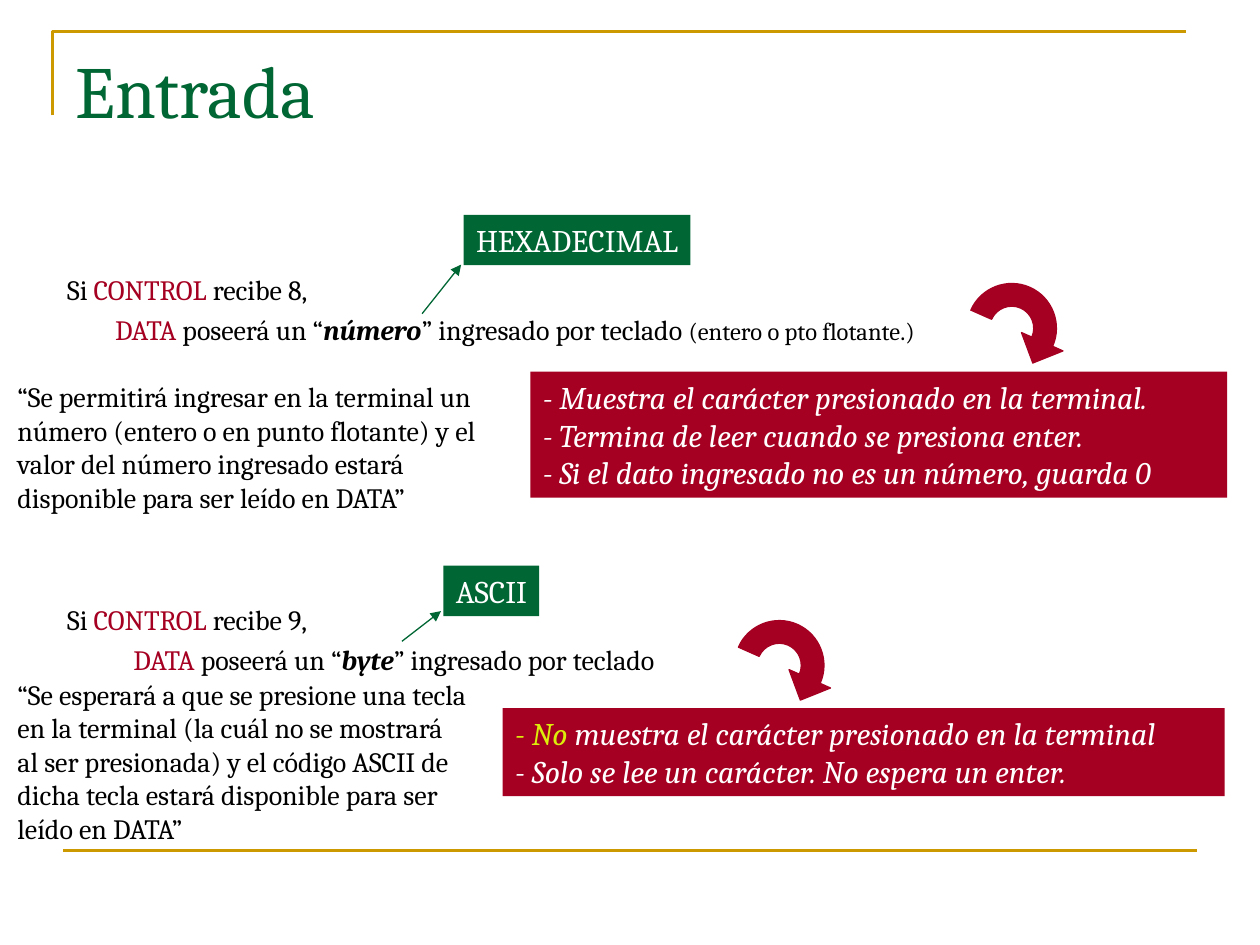
"""Build the slide on keyboard input through CONTROL and DATA."""
from dataclasses import dataclass

from lxml.etree import SubElement
from pptx import Presentation
from pptx.dml.color import RGBColor
from pptx.enum.shapes import MSO_CONNECTOR, MSO_SHAPE
from pptx.enum.text import MSO_ANCHOR, PP_ALIGN
from pptx.oxml.ns import qn
from pptx.util import Emu, Inches, Pt

RECT = MSO_SHAPE.RECTANGLE
LINE = MSO_CONNECTOR.STRAIGHT
TOP = MSO_ANCHOR.TOP
LEFT = PP_ALIGN.LEFT
COLS, ROWS = 100, 75


@dataclass(frozen=True)
class Theme:
    """Colours, font and type sizes."""
    green: str = "006633"
    red: str = "A50021"
    gold: str = "CC9900"
    lime: str = "DDED0B"
    white: str = "FFFFFF"
    black: str = "000000"
    font: str = "Cambria"
    head: int = 42
    note: int = 18
    body: int = 16
    small: int = 14


THEME = Theme()


@dataclass(frozen=True)
class Run:
    """A stretch of text in one format."""
    text: str
    color: str = THEME.black
    size: int = THEME.body
    bold: bool = False
    slant: bool = False


@dataclass(frozen=True)
class Para:
    """A line of runs with its indent in columns and space before in points."""
    runs: tuple[Run, ...]
    indent: float = 0
    before: float = 0


@dataclass(frozen=True)
class Box:
    """A text block placed by column and row."""
    col: float
    row: float
    wide: float
    high: float
    lines: tuple[Para, ...]
    fill: str = ""
    wrap: bool = True
    pad: float = 0.5


@dataclass(frozen=True)
class Line:
    """A straight line between two grid points."""
    start: tuple[float, float]
    end: tuple[float, float]
    color: str
    width: float
    arrow: bool = False


deck = Presentation()
deck.slide_width, deck.slide_height = Inches(10), Inches(7.5)
slide = deck.slides.add_slide(deck.slide_layouts[6])


def across(col: float) -> Emu:
    """Turn columns into a length."""
    return Emu(round(deck.slide_width * col / COLS))


def down(row: float) -> Emu:
    """Turn rows into a length."""
    return Emu(round(deck.slide_height * row / ROWS))


def write(frame, lines: tuple[Para, ...]) -> None:
    """Fill a text frame with formatted lines."""
    for k, line in enumerate(lines):
        para = frame.add_paragraph() if k else frame.paragraphs[0]
        para.alignment, para.space_before = LEFT, Pt(line.before)
        para._p.get_or_add_pPr().set("marL", str(across(line.indent)))
        for part in line.runs:
            run = para.add_run()
            run.text = part.text
            look = {"name": THEME.font, "size": Pt(part.size),
                    "bold": part.bold, "italic": part.slant}
            for key, value in look.items():
                setattr(run.font, key, value)
            run.font.color.rgb = RGBColor.from_string(part.color)


def draw_box(box: Box) -> None:
    """Draw a filled panel or a plain text box."""
    place = across(box.col), down(box.row), across(box.wide), down(box.high)
    if box.fill:
        shape = slide.shapes.add_shape(RECT, *place)
        shape.shadow.inherit = False
        shape.fill.solid()
        shape.fill.fore_color.rgb = RGBColor.from_string(box.fill)
        shape.line.fill.background()
    else:
        shape = slide.shapes.add_textbox(*place)
    look = {"word_wrap": box.wrap, "vertical_anchor": TOP, "margin_top": down(box.pad)}
    for key, value in look.items():
        setattr(shape.text_frame, key, value)
    write(shape.text_frame, box.lines)


def draw_line(line: Line) -> None:
    """Draw a line, with an arrowhead if asked for."""
    (x, y), (u, v) = line.start, line.end
    link = slide.shapes.add_connector(LINE, across(x), down(y), across(u), down(v))
    link.line.color.rgb = RGBColor.from_string(line.color)
    link.line.width = Pt(line.width)
    if line.arrow:
        SubElement(link.line._get_or_add_ln(), qn("a:tailEnd"), type="triangle")
    SubElement(link._element.spPr, qn("a:effectLst"))


def draw_form(points: list[tuple[float, float]], color: str, width: float,
              closed: bool):
    """Draw an outline through grid points, filled when closed."""
    spots = [(across(x), down(y)) for x, y in points]
    pen = slide.shapes.build_freeform(*spots[0])
    pen.add_line_segments(spots[1:], close=closed)
    shape = pen.convert_to_shape()
    shape.shadow.inherit = False
    if closed:
        shape.fill.solid()
        shape.fill.fore_color.rgb = RGBColor.from_string(color)
    else:
        shape.fill.background()
    shape.line.color.rgb = RGBColor.from_string(color)
    shape.line.width = Pt(width)
    return shape


def arc(r: float, side: int) -> list[tuple[float, float]]:
    """Give the curve points of an upper half circle that starts on one side."""
    k = 0.55 * r
    half = [(r, -k), (k, -r), (0, -r), (-k, -r), (-r, -k), (-r, 0)]
    return [(side * x, y) for x, y in half]


def draw_hook(col: float, row: float) -> None:
    """Draw a turned half-ring arrow around a centre."""
    inner, outer = 1.75, 3.55
    points = [(inner, 0), *arc(inner, 1), (-outer, 0), *arc(outer, -1),
              (4.45, 0), (2.65, 1.85), (0.85, 0)]
    shape = draw_form([(col + x, row + y) for x, y in points], THEME.red, 0.75, True)
    track = shape._element.spPr.find(".//" + qn("a:path"))
    steps = track.findall(qn("a:lnTo"))
    for first in (0, 3, 7, 10):
        curve = steps[first]
        curve.tag = qn("a:cubicBezTo")
        for step in steps[first + 1:first + 3]:
            curve.append(step[0])
            track.remove(step)
    side = across(2 * outer)
    for key in ("w", "h"):
        track.set(key, str(side))
    for key, value in {"width": side, "height": side, "rotation": 23.9}.items():
        setattr(shape, key, value)


def plain(text: str) -> tuple[Para, ...]:
    """Make one body line."""
    return (Para((Run(text),)),)


def label(text: str) -> tuple[Para, ...]:
    """Make one white label line."""
    return (Para((Run(text, THEME.white, THEME.note),)),)


def note(text: str, lead: str = "") -> Para:
    """Make one slanted note line with a bright lead."""
    parts = ((lead, THEME.lime), (text, THEME.white))
    return Para(tuple(Run(t, c, THEME.note, slant=True) for t, c in parts if t))


def case(code: str, kind: str, end: str, indent: float, gap: float = 0,
         extra: tuple[Run, ...] = ()) -> tuple[Para, ...]:
    """Make the two lines that tell what a CONTROL code does."""
    first = Run("Si "), Run("CONTROL", THEME.red), Run(f" recibe {code},")
    then = (Run("DATA", THEME.red), Run(" poseerá un “"),
            Run(kind, bold=True, slant=True), Run(end))
    return Para(first, 0, gap), Para(then + extra, indent, 3.75)


BOXES = (
    Box(5, 3.05, 90, 12.5, (Para((Run("Entrada", THEME.green, THEME.head),)),)),
    Box(4.35, 14.7, 93.7, 52, (
        *case("8", "número", "” ingresado por teclado ", 3.8,
              extra=(Run("(entero o pto flotante.)", size=THEME.small),)),
        *case("9", "byte", "” ingresado por teclado", 5.25, 146.2)), pad=6.95),
    Box(35.2, 44.9, 7.6, 4, label("ASCII"), THEME.green, False),
    Box(39.9, 56.2, 57.3, 7, (
        note(" muestra el carácter presionado en la terminal", "- No"),
        note("- Solo se lee un carácter. No espera un enter.")), THEME.red),
    Box(36.8, 17.05, 18, 4, label("HEXADECIMAL"), THEME.green, False),
    Box(42.1, 29.5, 55.3, 10, (
        note("- Muestra el carácter presionado en la terminal."),
        note("- Termina de leer cuando se presiona enter."),
        note("- Si el dato ingresado no es un número, guarda 0")), THEME.red),
    Box(0.4, 29.65, 38.6, 11.7, plain(
        "“Se permitirá ingresar en la terminal un número (entero o en punto flotante) "
        "y el valor del número ingresado estará disponible para ser leído en DATA”")),
    Box(0.4, 53.25, 37.8, 14.4, plain(
        "“Se esperará a que se presione una tecla en la terminal (la cuál no se "
        "mostrará al ser presionada) y el código ASCII de dicha tecla estará "
        "disponible para ser leído en DATA”")),
)
LINES = (
    Line((5, 67.5), (95, 67.5), THEME.gold, 1.5),
    Line((31.9, 50.9), (35, 48.5), THEME.green, 0.75, True),
    Line((33.5, 24.9), (36.6, 21), THEME.green, 0.75, True),
)

draw_form([(4.15, 9.15), (4.15, 2.5), (94.15, 2.5)], THEME.gold, 1.5, False)
for item in LINES:
    draw_line(item)
for item in BOXES:
    draw_box(item)
for spot in ((80.3, 26.05), (61.85, 52.8)):
    draw_hook(*spot)
deck.save("out.pptx")
